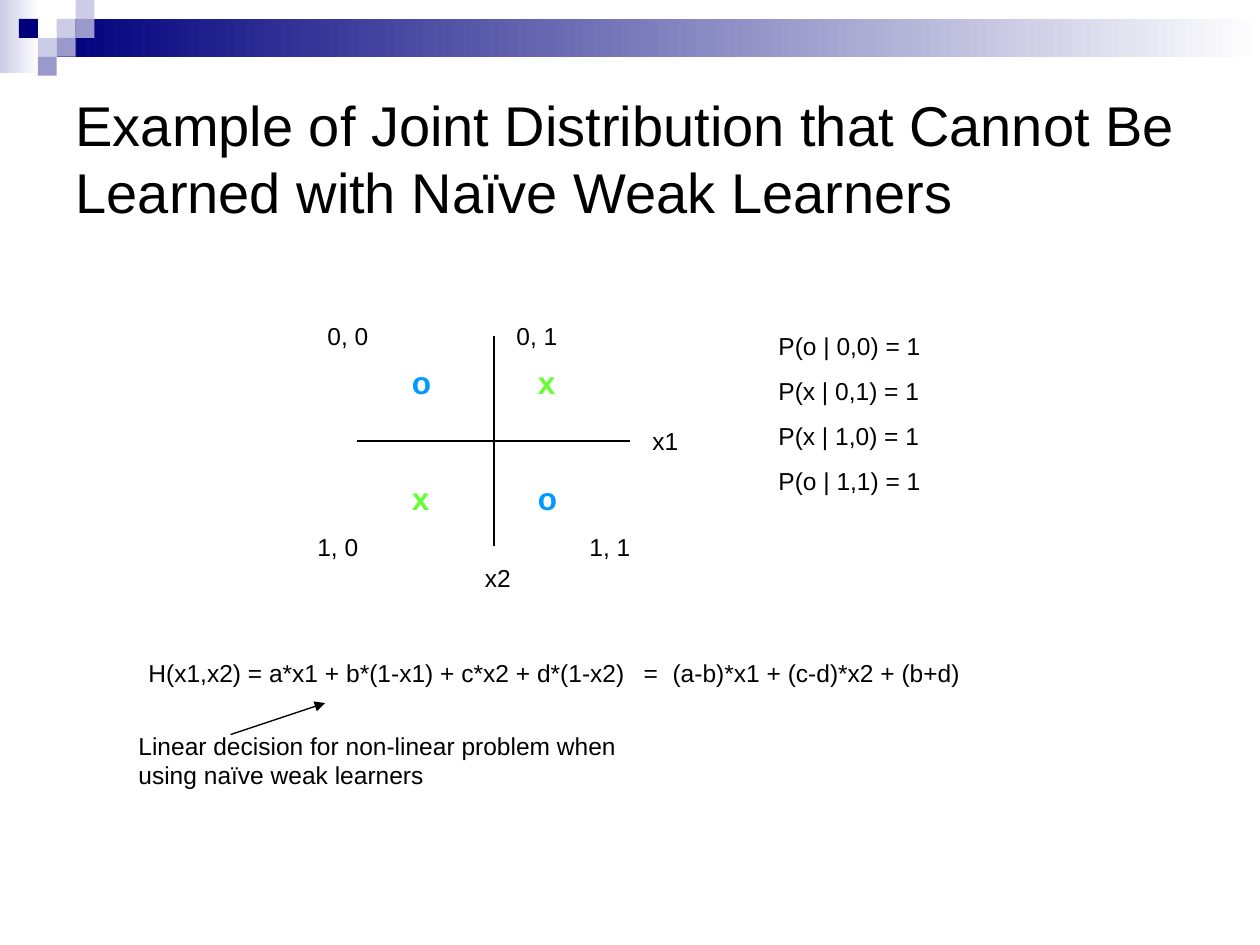
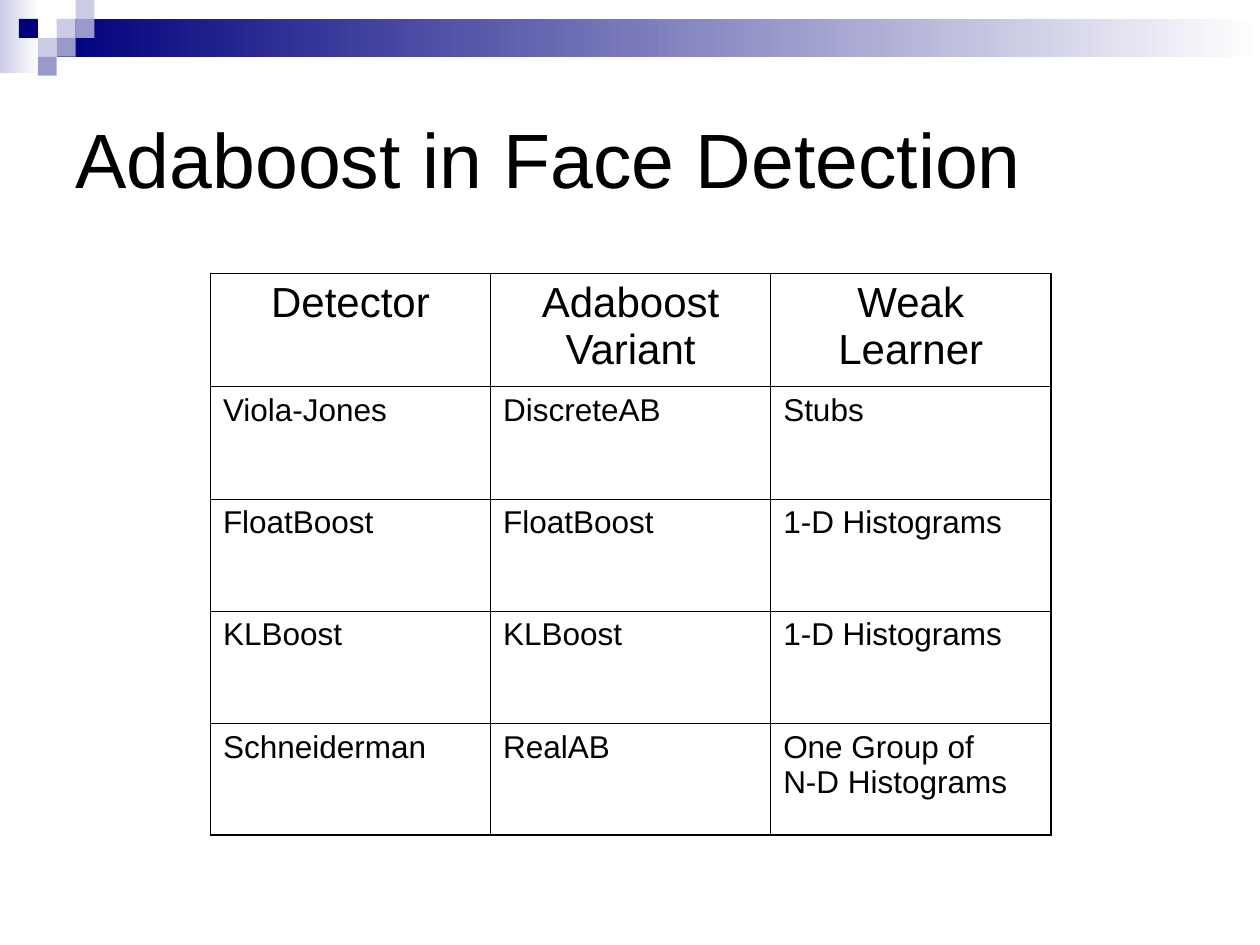
from dataclasses import dataclass
from typing import NamedTuple

import pptx
import pptx.dml.color
import pptx.enum.shapes
import pptx.enum.text
import pptx.oxml.ns
import pptx.presentation
import pptx.shapes.connector
import pptx.slide
import pptx.table
import pptx.text.text
import pptx.util
from lxml import etree
from pptx.dml.color import RGBColor
from pptx.enum.shapes import MSO_CONNECTOR, MSO_SHAPE
from pptx.enum.text import MSO_ANCHOR, MSO_AUTO_SIZE, PP_ALIGN
from pptx.oxml.ns import qn
from pptx.util import Inches


@dataclass(frozen=True)
class Theme:
    font: str = "Arial"
    ink: RGBColor = RGBColor(0x00, 0x00, 0x00)
    paper: RGBColor = RGBColor(0xFF, 0xFF, 0xFF)
    navy: RGBColor = RGBColor(0x00, 0x00, 0x7D)
    lavender: RGBColor = RGBColor(0xCC, 0xCC, 0xE6)
    periwinkle: RGBColor = RGBColor(0x99, 0x99, 0xCC)
    class_o: RGBColor = RGBColor(0x00, 0x99, 0xFF)
    class_x: RGBColor = RGBColor(0x66, 0xFF, 0x33)
    title_size: float = 44
    long_title_size: float = 32
    header_size: float = 24
    cell_size: float = 18
    mark_size: float = 18
    note_size: float = 14
    note_gap: float = 8.8
    axis_width: float = 0.75
    grid_width: float = 0.45
    frame_width: float = 1.08


THEME = Theme()


class Band(NamedTuple):
    left: float
    top: float
    width: float
    height: float
    color: RGBColor


class Tile(NamedTuple):
    column: int
    row: int
    color: RGBColor


class Note(NamedTuple):
    left: float
    top: float
    width: float
    height: float
    lines: tuple[str, ...]
    tabs: tuple[float, ...] = ()


class Mark(NamedTuple):
    left: float
    top: float
    letter: str
    color: RGBColor


class Stroke(NamedTuple):
    start: tuple[float, float]
    end: tuple[float, float]
    arrow: bool = False


TILE_SIDE = 0.15
BANDS = (
    Band(0, 0, 0.31, 0.58, THEME.lavender),
    Band(0.45, 0.15, 9.55, 0.3, THEME.navy),
)
TILES = (
    Tile(3, 1, THEME.lavender),
    Tile(4, 0, THEME.lavender),
    Tile(4, 1, THEME.periwinkle),
    Tile(2, 2, THEME.lavender),
    Tile(1, 1, THEME.navy),
    Tile(3, 2, THEME.periwinkle),
    Tile(2, 3, THEME.periwinkle),
)

STROKES = (
    Stroke((3.92, 2.67), (3.92, 4.33)),
    Stroke((2.83, 3.5), (5, 3.5)),
    Stroke((1.83, 5.83), (2.58, 5.58), arrow=True),
)
NOTES = (
    Note(3.75, 4.42, 0.58, 0.34, ("x2",)),
    Note(5.08, 3.33, 0.58, 0.34, ("x1",)),
    Note(2.5, 2.5, 0.68, 0.34, ("0, 0",)),
    Note(4, 2.5, 0.68, 0.34, ("0, 1",)),
    Note(2.42, 4.17, 0.68, 0.34, ("1, 0",)),
    Note(4.58, 4.17, 0.68, 0.34, ("1, 1",)),
    Note(6.08, 2.58, 2, 1.4,
         ("P(o | 0,0) = 1", "P(x | 0,1) = 1", "P(x | 1,0) = 1", "P(o | 1,1) = 1")),
    Note(1.08, 5.17, 7.92, 0.34,
         ("H(x1,x2) = a*x1 + b*(1-x1) + c*x2 + d*(1-x2)\t=\t(a-b)*x1 + (c-d)*x2 + (b+d)",),
         tabs=(3.93, 4.16)),
    Note(1, 5.75, 4.08, 0.57,
         ("Linear decision for non-linear problem when using naïve weak learners",)),
)
MARKS = (
    Mark(3.17, 2.83, "o", THEME.class_o),
    Mark(4.17, 2.83, "x", THEME.class_x),
    Mark(3.17, 3.75, "x", THEME.class_x),
    Mark(4.17, 3.75, "o", THEME.class_o),
)

DETECTORS = (
    ("Detector", "Adaboost Variant", "Weak Learner"),
    ("Viola-Jones", "DiscreteAB", "Stubs"),
    ("FloatBoost", "FloatBoost", "1-D Histograms"),
    ("KLBoost", "KLBoost", "1-D Histograms"),
    ("Schneiderman", "RealAB", "One Group of\vN-D Histograms"),
)


def style(paragraph: pptx.text.text._Paragraph, size: float,
          color: RGBColor = THEME.ink, bold: bool = False) -> None:
    font = paragraph.font
    font.name = THEME.font
    font.size = pptx.util.Pt(size)
    font.bold = bold
    font.color.rgb = color


def add_block(slide: pptx.slide.Slide, left: float, top: float, width: float,
              height: float) -> pptx.shapes.autoshape.Shape:
    block = slide.shapes.add_shape(MSO_SHAPE.RECTANGLE, Inches(left), Inches(top),
                                   Inches(width), Inches(height))
    block.shadow.inherit = False
    block.line.fill.background()
    return block


def add_header_art(slide: pptx.slide.Slide) -> None:
    for band in BANDS:
        fill = add_block(slide, *band[:4]).fill
        fill.gradient()
        fill.gradient_angle = 180
        for stop, color in zip(fill.gradient_stops, (THEME.paper, band.color)):
            stop.color.rgb = color
    for tile in TILES:
        square = add_block(slide, tile.column * TILE_SIDE, tile.row * TILE_SIDE,
                           TILE_SIDE, TILE_SIDE)
        square.fill.solid()
        square.fill.fore_color.rgb = tile.color


def add_titled_slide(deck: pptx.presentation.Presentation, heading: str,
                     size: float) -> pptx.slide.Slide:
    slide = deck.slides.add_slide(deck.slide_layouts[5])
    add_header_art(slide)
    title = slide.shapes.title
    title.left, title.top = Inches(0.5), Inches(0.5)
    title.width, title.height = Inches(9), Inches(1.5)
    frame = title.text_frame
    frame.text = heading
    frame.auto_size = MSO_AUTO_SIZE.NONE
    frame.vertical_anchor = MSO_ANCHOR.MIDDLE
    frame.paragraphs[0].alignment = PP_ALIGN.LEFT
    style(frame.paragraphs[0], size)
    return slide


def add_tab_stops(paragraph: pptx.text.text._Paragraph, stops: tuple[float, ...]) -> None:
    tab_list = etree.SubElement(paragraph._p.get_or_add_pPr(), qn("a:tabLst"))
    for stop in stops:
        etree.SubElement(tab_list, qn("a:tab"), pos=str(Inches(stop)), algn="l")


def add_note(slide: pptx.slide.Slide, note: Note) -> None:
    frame = slide.shapes.add_textbox(Inches(note.left), Inches(note.top),
                                     Inches(note.width), Inches(note.height)).text_frame
    frame.word_wrap = True
    frame.auto_size = MSO_AUTO_SIZE.SHAPE_TO_FIT_TEXT
    frame.text = "\n".join(note.lines)
    for paragraph in frame.paragraphs:
        paragraph.space_before = pptx.util.Pt(THEME.note_gap)
        if note.tabs:
            add_tab_stops(paragraph, note.tabs)
        style(paragraph, THEME.note_size)


def add_mark(slide: pptx.slide.Slide, mark: Mark) -> None:
    frame = slide.shapes.add_textbox(Inches(mark.left), Inches(mark.top),
                                     Inches(0.35), Inches(0.4)).text_frame
    frame.word_wrap = False
    frame.auto_size = MSO_AUTO_SIZE.SHAPE_TO_FIT_TEXT
    frame.text = mark.letter
    style(frame.paragraphs[0], THEME.mark_size, mark.color, bold=True)


def add_stroke(slide: pptx.slide.Slide, stroke: Stroke) -> None:
    ends = [Inches(value) for value in stroke.start + stroke.end]
    connector = slide.shapes.add_connector(MSO_CONNECTOR.STRAIGHT, *ends)
    connector.line.color.rgb = THEME.ink
    connector.line.width = pptx.util.Pt(THEME.axis_width)
    if stroke.arrow:
        etree.SubElement(connector.line._get_or_add_ln(), qn("a:tailEnd"), type="triangle")
    etree.SubElement(connector._element.spPr, qn("a:effectLst"))


def add_borders(cell: pptx.table._Cell, outer: dict[str, bool]) -> None:
    properties = cell._tc.get_or_add_tcPr()
    for side, is_outer in outer.items():
        width = pptx.util.Pt(THEME.frame_width if is_outer else THEME.grid_width)
        edge = etree.SubElement(properties, qn(f"a:ln{side}"), w=str(width))
        fill = etree.SubElement(edge, qn("a:solidFill"))
        etree.SubElement(fill, qn("a:srgbClr"), val=str(THEME.ink))


def add_detector_table(slide: pptx.slide.Slide) -> None:
    last_row, last_column = len(DETECTORS) - 1, len(DETECTORS[0]) - 1
    table = slide.shapes.add_table(last_row + 1, last_column + 1, Inches(1.67), Inches(2.17),
                                   Inches(6.67), Inches(4.45)).table
    table.first_row = False
    table.horz_banding = False
    for row, entries in enumerate(DETECTORS):
        is_header = row == 0
        table.rows[row].height = Inches(0.9 if is_header else 0.89)
        for column, entry in enumerate(entries):
            cell = table.cell(row, column)
            add_borders(cell, {"L": column == 0, "R": column == last_column,
                               "T": is_header, "B": row == last_row})
            cell.fill.background()
            cell.text = entry
            paragraph = cell.text_frame.paragraphs[0]
            paragraph.alignment = PP_ALIGN.CENTER if is_header else PP_ALIGN.LEFT
            paragraph.space_before = pptx.util.Pt(6 if is_header else 4.5)
            style(paragraph, THEME.header_size if is_header else THEME.cell_size)


def main() -> None:
    deck = pptx.Presentation()
    deck.slide_width, deck.slide_height = Inches(10), Inches(7.5)

    joint = add_titled_slide(
        deck, "Example of Joint Distribution that Cannot Be Learned with Naïve Weak Learners",
        THEME.long_title_size)
    for stroke in STROKES:
        add_stroke(joint, stroke)
    for note in NOTES:
        add_note(joint, note)
    for mark in MARKS:
        add_mark(joint, mark)

    detection = add_titled_slide(deck, "Adaboost in Face Detection", THEME.title_size)
    add_detector_table(detection)

    deck.save("out.pptx")


if __name__ == "__main__":
    main()
